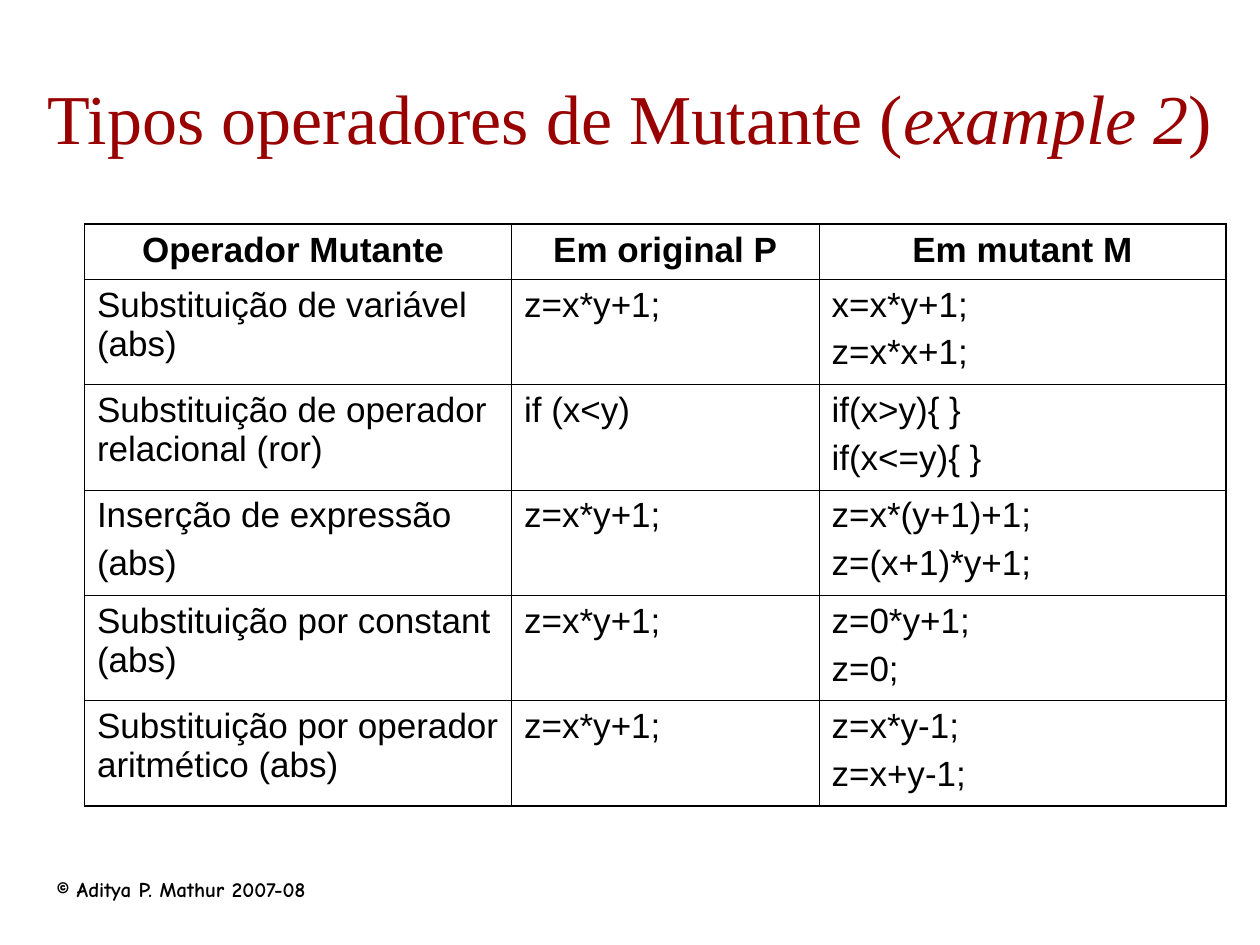
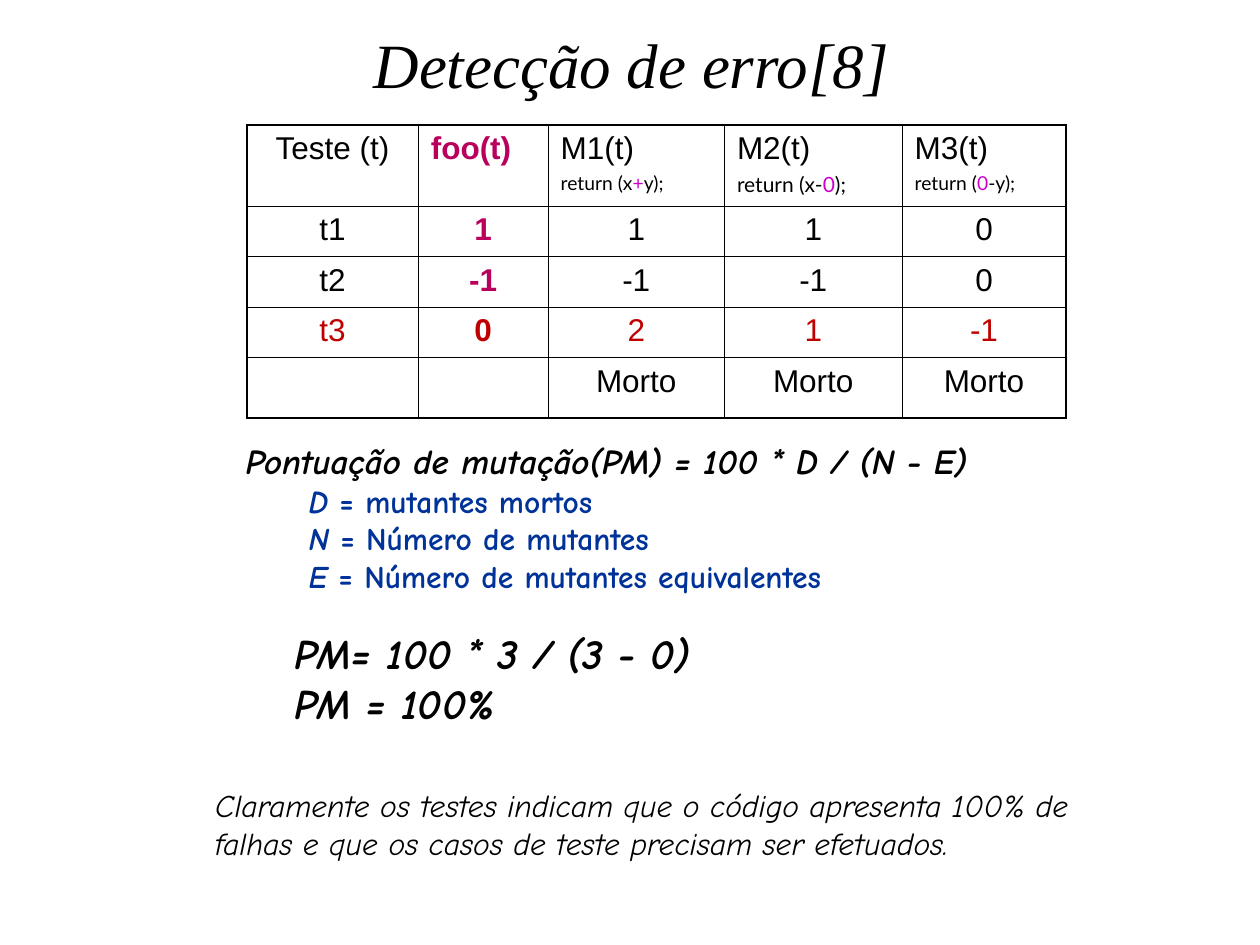
from lxml import etree
from pptx import Presentation
from pptx.dml.color import RGBColor
from pptx.enum.text import MSO_ANCHOR, PP_ALIGN
from pptx.oxml.ns import qn
from pptx.util import Inches, Pt

CENTER = PP_ALIGN.CENTER
TOP, MIDDLE, BOTTOM = MSO_ANCHOR.TOP, MSO_ANCHOR.MIDDLE, MSO_ANCHOR.BOTTOM
COLS, ROWS = 100, 75
UNIT = Inches(10) // COLS
INDENT = 5
THICK, THIN = 1.08, 0.45

BLACK, MAROON, RED = "000000", "990000", "C00000"
PINK, VIOLET, BLUE = "B9005C", "CC00CC", "003399"

TITLE = {"name": "Times New Roman", "size": 40, "color": BLACK}
GRID = {"name": "Arial", "size": 20, "color": BLACK}
SMALL = {"name": "Lato", "size": 11}
NOTE = {"name": "Comic Neue", "size": 18, "color": BLACK}
BOLD, ITALIC = {"bold": True}, {"italic": True}
KEY = {**BOLD, **ITALIC}


def span(count):
    return round(count * UNIT)


def tint(code):
    return RGBColor.from_string(code)


def style(font, form):
    for key, value in form.items():
        if key == "color":
            font.color.rgb = tint(value)
        else:
            setattr(font, key, Pt(value) if key == "size" else value)


def para(*runs, **form):
    return runs, form


def write(frame, paras, base):
    for index, (runs, form) in enumerate(paras):
        line = frame.paragraphs[0] if index == 0 else frame.add_paragraph()
        for key, value in form.items():
            setattr(line, key, value)
        if line.level:
            line._p.get_or_add_pPr().set("marL", str(span(INDENT * line.level)))
        for item in runs:
            text, extra = (item, {}) if isinstance(item, str) else item
            run = line.add_run()
            run.text = text
            style(run.font, {**base, **extra})


def add_text(slide, place, paras, base, anchor=TOP):
    frame = slide.shapes.add_textbox(*map(span, place)).text_frame
    frame.word_wrap = True
    frame.vertical_anchor = anchor
    write(frame, paras, base)


def add_edge(cell, widths):
    props = cell._tc.get_or_add_tcPr()
    for index, (side, width) in enumerate(widths.items()):
        edge = etree.Element(qn(f"a:ln{side}"), w=str(Pt(width)))
        fill = etree.SubElement(edge, qn("a:solidFill"))
        etree.SubElement(fill, qn("a:srgbClr"), val=BLACK)
        props.insert(index, edge)


def add_grid(slide, left, top, widths, heights, cells, base):
    place = map(span, (left, top, sum(widths), sum(heights)))
    shape = slide.shapes.add_table(len(heights), len(widths), *place)
    table = shape.table
    table.first_row = table.horz_banding = False
    for col, width in zip(table.columns, widths):
        col.width = span(width)
    for row, height in zip(table.rows, heights):
        row.height = span(height)
    end_row, end_col = len(heights) - 1, len(widths) - 1
    for y, row in enumerate(cells):
        for x, paras in enumerate(row):
            cell = table.cell(y, x)
            cell.fill.background()
            outer = {"L": x == 0, "R": x == end_col, "T": y == 0, "B": y == end_row}
            add_edge(cell, {side: THICK if out else THIN for side, out in outer.items()})
            write(cell.text_frame, paras, base)


def lines(text):
    first, *rest = text.split("\n")
    return [para(first)] + [para(item, space_before=Pt(5)) for item in rest]


def mid(text, **extra):
    return [para((text, extra), alignment=CENTER)]


def mutant(name, before, mark, after, size=11):
    code = {**SMALL, "size": size}
    parts = (before, code), (mark, {**code, "color": VIOLET}), (after, code)
    return [para(name), para(*parts, space_before=Pt(size / 4))]


def score(row, **extra):
    name, base, *rest = row
    vivid = {"color": PINK, **extra, **BOLD}
    return [mid(name, **extra), mid(base, **vivid)] + [mid(item, **extra) for item in rest]


def add_types(slide):
    add_text(slide, (3.5, 69.1, 56.5, 5), [para("© Aditya P. Mathur 2007-08")],
             {**NOTE, **BOLD, "size": 12})
    heads = "Operador Mutante ", "Em original P", "Em mutant M"
    body = [
        ("Substituição de variável (abs)", "z=x*y+1;", "x=x*y+1;\nz=x*x+1;"),
        ("Substituição de operador relacional (ror)", "if (x<y)", "if(x>y){ }\nif(x<=y){ }"),
        ("Inserção de expressão\n(abs)", "z=x*y+1;", "z=x*(y+1)+1;\nz=(x+1)*y+1;"),
        ("Substituição por constant (abs)", "z=x*y+1;", "z=0*y+1;\nz=0;"),
        ("Substituição por operador aritmético (abs)", "z=x*y+1;", "z=x*y-1;\nz=x+y-1;"),
    ]
    cells = [[mid(head, **BOLD) for head in heads]]
    cells += [[lines(text) for text in row] for row in body]
    add_grid(slide, 6.7, 17.8, (33.9, 24.4, 32.3), [4.35] + [8.36] * len(body), cells, GRID)
    title = para("Tipos operadores de Mutante (", ("example 2", ITALIC), ")", alignment=CENTER)
    add_text(slide, (0, 3, COLS, 12.5), [title], {**TITLE, "color": MAROON}, MIDDLE)


def add_score(slide):
    add_text(slide, (7.5, 2, 85.2, 6.5), mid("Detecção de erro[8]"),
             {**TITLE, **ITALIC, "size": 36}, BOTTOM)
    cells = [
        [mid("Teste (t)"), [para(("foo(t)", {**BOLD, "color": PINK}))],
         mutant("M1(t)", "return (x", "+", "y);"),
         mutant("M2(t)", "return (x-", "0", ");", 12),
         mutant("M3(t)", "return (", "0", "-y);")],
        score(("t1", "1", "1", "1", "0")),
        score(("t2", "-1", "-1", "-1", "0")),
        score(("t3", "0", "2", "1", "-1"), color=RED),
        [[], []] + [mid("Morto")] * 3,
    ]
    add_grid(slide, 19.6, 9.9, (13.6, 10.3, 14, 14.1, 13), (6.45, 4, 4, 4, 4.8),
             cells, {**GRID, "size": 18})
    add_text(slide, (22.4, 49.3, 50, 9),
             [para("PM= 100 * 3 / (3 - 0)"), para("PM = 100%")], {**NOTE, **KEY, "size": 24})
    terms = {"D": "mutantes mortos", "N": "Número de mutantes",
             "E": "Número de mutantes equivalentes"}
    rule = ("Pontuação de mutação(PM) = 100 * D / (N - E)", {**ITALIC, "size": 20, "color": BLACK})
    paras = [para(rule)]
    paras += [para((key, ITALIC), f" = {text}", level=1) for key, text in terms.items()]
    add_text(slide, (18.5, 34.4, 66.8, 13.4), paras, {**NOTE, **BOLD, "color": BLUE})
    add_text(slide, (16.1, 61.9, 74, 7),
             [para("Claramente os testes indicam que o código apresenta 100% de falhas "
                   "e que os casos de teste precisam ser efetuados.")], {**NOTE, **ITALIC})


def main():
    deck = Presentation()
    deck.slide_width, deck.slide_height = span(COLS), span(ROWS)
    for build in (add_types, add_score):
        build(deck.slides.add_slide(deck.slide_layouts[6]))
    deck.save("out.pptx")


if __name__ == "__main__":
    main()
